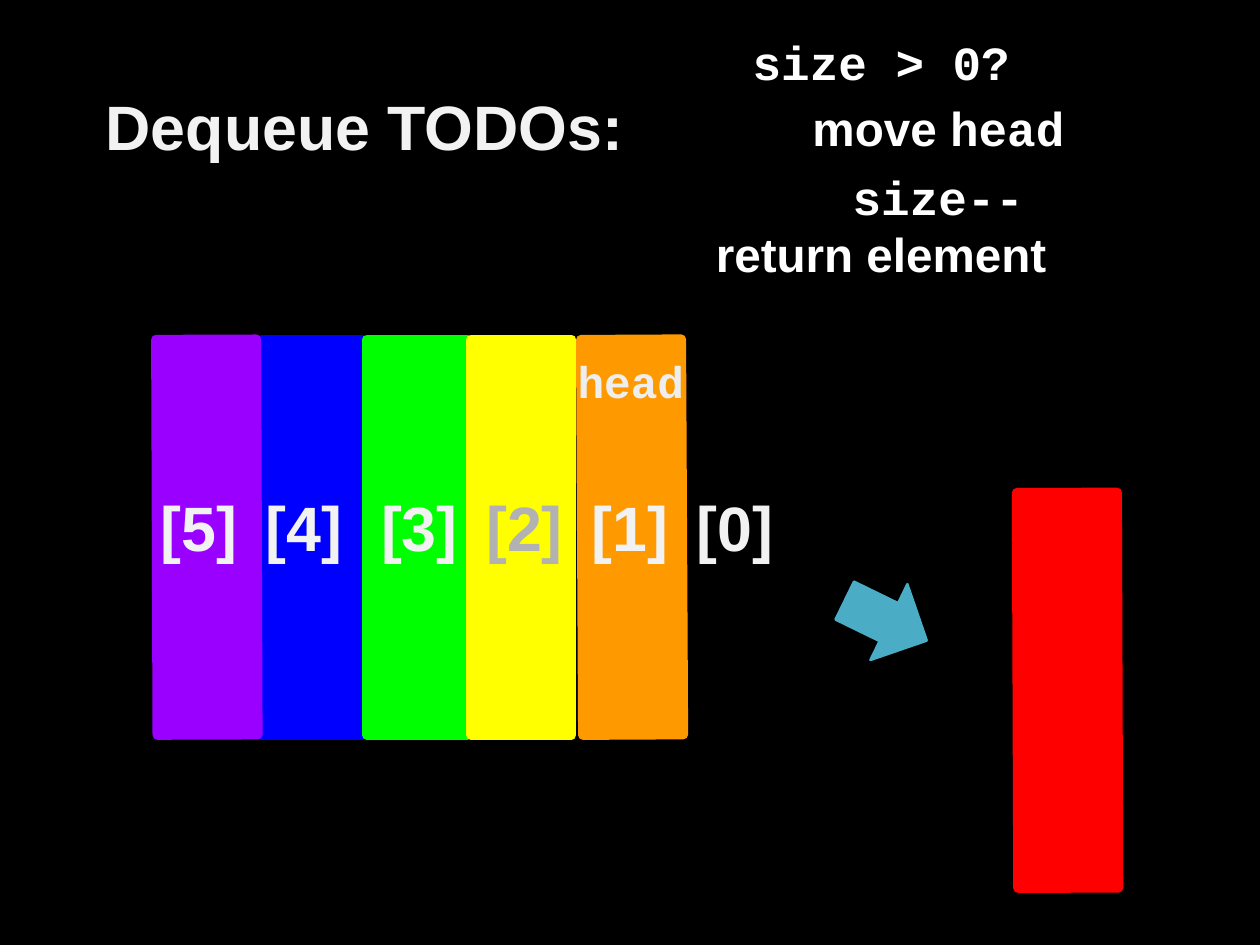
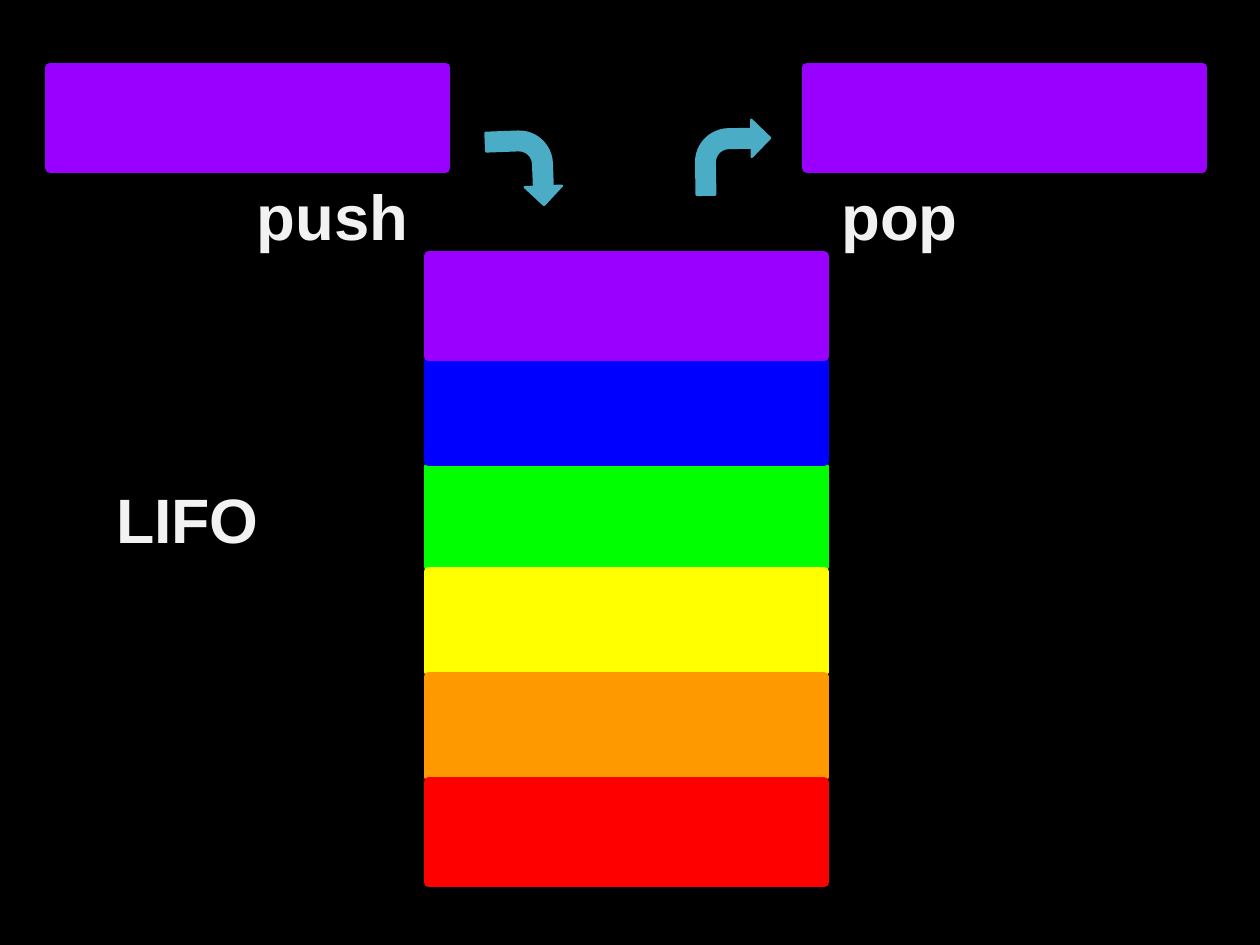
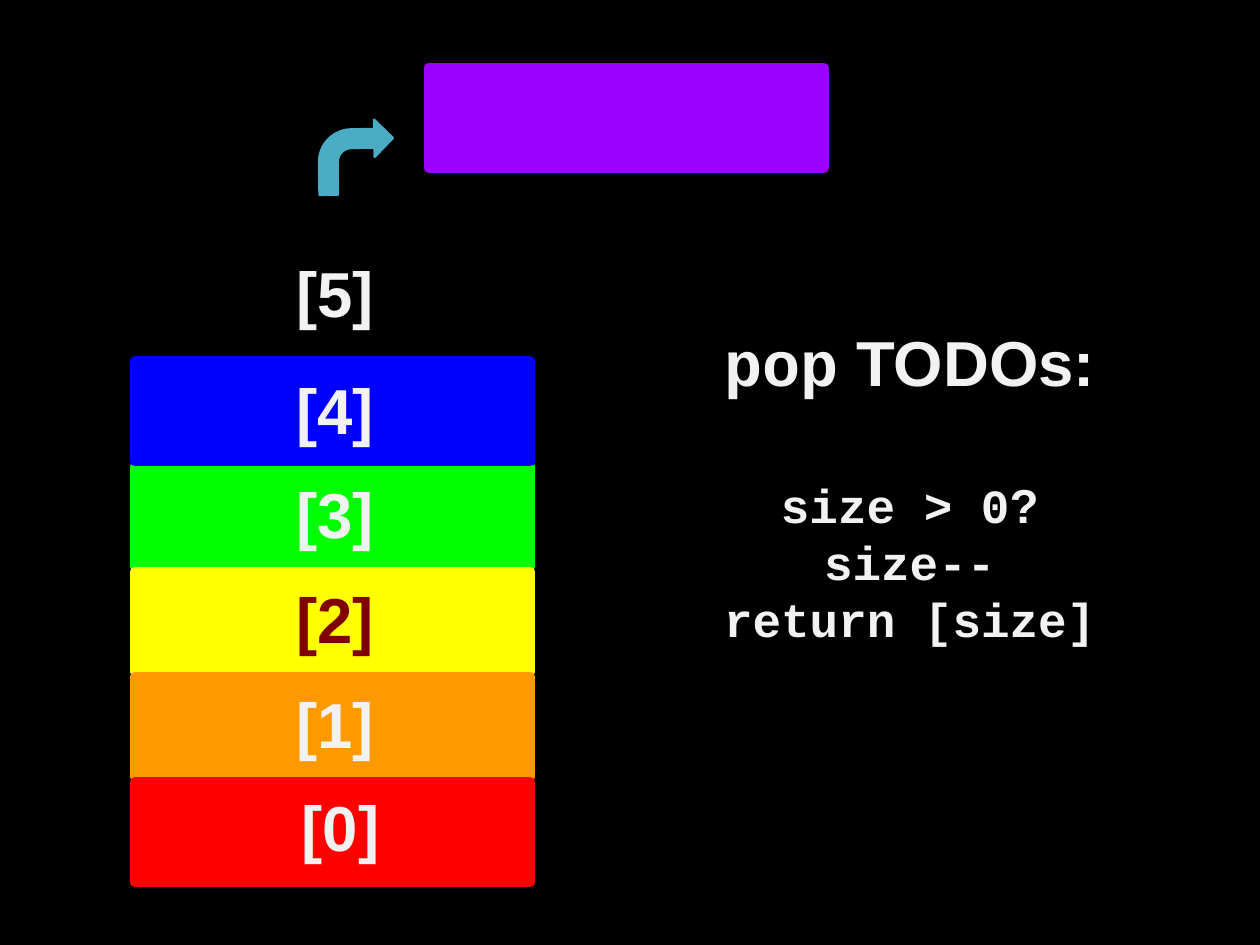
from pptx import Presentation
from pptx.dml.color import RGBColor
from pptx.enum.shapes import MSO_SHAPE
from pptx.enum.text import MSO_ANCHOR, PP_ALIGN
from pptx.util import Inches, Pt

RECTANGLE = MSO_SHAPE.RECTANGLE
RIGHT_ARROW = MSO_SHAPE.RIGHT_ARROW
BENT_ARROW = MSO_SHAPE.BENT_ARROW
TOP, MIDDLE = MSO_ANCHOR.TOP, MSO_ANCHOR.MIDDLE
CENTER = PP_ALIGN.CENTER

COLORS = {
    "background": "000000", "text": "F2F2F2", "white": "FFFFFF",
    "head": "EEEEEE", "gray": "B2B2B2", "maroon": "800000",
    "arrow": "4BACC6", "purple": "9900FF", "blue": "0000FF",
    "green": "00FF00", "yellow": "FFFF00", "orange": "FF9900", "red": "FF0000",
}
SANS, MONO = "Arial", "Courier New"
CM_PER_INCH = 2.54
BAR_LENGTH, BAR_THICKNESS = 3.46, 0.88
BAR_STEP = 0.92
STACK_TOP = 2.24
CARRIED_TOP = 0.59
STACK = ["purple", "blue", "green", "yellow", "orange", "red"]
STACK_DRAWING_ORDER = ["green", "blue", "purple", "yellow", "orange", "red"]
ARROW_SIZE = 0.65


def add_figure(slide, kind, box, color, line_width=6, rotation=0):
    """Add a solid preset shape; box is left, top, width, height in inches."""
    shape = slide.shapes.add_shape(kind, *[Inches(length) for length in box])
    shape.shadow.inherit = False
    shape.rotation = rotation
    shape.fill.solid()
    shape.fill.fore_color.rgb = RGBColor.from_string(COLORS[color])
    shape.line.color.rgb = RGBColor.from_string(COLORS[color])
    shape.line.width = Pt(line_width)
    if kind == BENT_ARROW:
        shape.adjustments[3] = 0.44


def add_text(slide, center_x, y, lines, color="text", width=5.5, anchor=MIDDLE):
    """Add centred lines of (runs, size, space before, indent); y is the anchored edge."""
    height = 0.7 if anchor == MIDDLE else 2.8
    top = y - height / 2 if anchor == MIDDLE else y
    box = slide.shapes.add_textbox(
        Inches(center_x - width / 2), Inches(top), Inches(width), Inches(height))
    frame = box.text_frame
    frame.word_wrap = True
    frame.vertical_anchor = anchor
    frame.margin_left = frame.margin_right = frame.margin_top = frame.margin_bottom = 0
    for index, (runs, size, space_before, indent) in enumerate(lines):
        paragraph = frame.add_paragraph() if index else frame.paragraphs[0]
        paragraph.alignment = CENTER
        if space_before:
            paragraph.space_before = Pt(space_before)
        if indent:
            paragraph._p.get_or_add_pPr().set("marL", str(Inches(indent)))
        for text, font_name in runs:
            run = paragraph.add_run()
            run.text = text
            run.font.name = font_name
            run.font.size = Pt(size)
            run.font.bold = True
            run.font.color.rgb = RGBColor.from_string(COLORS[color])


presentation = Presentation()
presentation.slide_width = Inches(28 / CM_PER_INCH)
presentation.slide_height = Inches(21 / CM_PER_INCH)
background = presentation.slide_master.background.fill
background.solid()
background.fore_color.rgb = RGBColor.from_string(COLORS["background"])
blank_layout = presentation.slide_layouts[6]

# Dequeue: upright bars, the red one has left the queue
slide = presentation.slides.add_slide(blank_layout)
add_text(slide, 3.19, 1.1, [([("Dequeue TODOs:", SANS)], 39.5, 0, 0)])
queue_bars = [
    ("blue", 2.73, 4.7, 0), ("green", 3.65, 4.7, 0), ("purple", 1.81, 4.7, -0.2),
    ("orange", 5.53, 4.7, -0.3), ("yellow", 4.56, 4.7, 0), ("red", 9.34, 6.04, -0.2),
]
for color, center_x, center_y, rotation in queue_bars:
    box = (center_x - BAR_THICKNESS / 2, center_y - BAR_LENGTH / 2, BAR_THICKNESS, BAR_LENGTH)
    add_figure(slide, RECTANGLE, box, color, rotation=rotation)
add_figure(slide, RIGHT_ARROW, (7.35, 5.06, 0.8, 0.74), "arrow", 1.5, 26)
for index, center_x in enumerate([6.43, 5.51, 4.59, 3.67, 2.66, 1.74]):
    add_text(slide, center_x, 4.61, [([(f"[{index}]", SANS)], 39.5, 0, 0)],
             "gray" if index == 2 else "text", 1.5)
add_text(slide, 5.52, 3.33, [([("head", MONO)], 28, 0, 0)], "head", 1.86)
add_text(slide, 7.71, 0.29, [
    ([("size > 0?", MONO)], 30, 0, 0),
    ([("move ", SANS), ("head", MONO)], 30, 5.5, 1),
    ([("size--", MONO)], 30, 7.5, 1),
    ([("return element", SANS)], 30, 0, 0),
], "white", 6.55, TOP)

# Stack with push and pop
slide = presentation.slides.add_slide(blank_layout)
add_text(slide, 1.64, 4.54, [([("LIFO", SANS)], 39.5, 0, 0)], width=3)
for color in STACK_DRAWING_ORDER:
    top = STACK_TOP + BAR_STEP * STACK.index(color)
    add_figure(slide, RECTANGLE, (3.75, top, BAR_LENGTH, BAR_THICKNESS), color)
for left in (0.44, 7.06):
    add_figure(slide, RECTANGLE, (left, CARRIED_TOP, BAR_LENGTH, BAR_THICKNESS), "purple")
for left, top, rotation in ((4.26, 1.15, 87.8), (6.09, 1.05, 359.1)):
    add_figure(slide, BENT_ARROW, (left, top, ARROW_SIZE, ARROW_SIZE), "arrow", 1.5, rotation)
for operation, center_x in (("push", 2.91), ("pop", 7.87)):
    add_text(slide, center_x, 1.88, [([(operation, SANS)], 40, 0, 0)], width=3)

# Pop: the purple bar has left the stack
slide = presentation.slides.add_slide(blank_layout)
for color in STACK_DRAWING_ORDER:
    if color != "purple":
        top = STACK_TOP + BAR_STEP * STACK.index(color)
        add_figure(slide, RECTANGLE, (1.18, top, BAR_LENGTH, BAR_THICKNESS), color)
add_text(slide, 7.96, 2.83, [
    ([("pop", MONO), (" TODOs:", SANS)], 40, 0, 0),
    ([("size > 0", MONO), ("?", SANS)], 30, 48, 0),
    ([("size--", MONO)], 30, 0, 0),
    ([("return [size]", MONO)], 30, 0, 0),
], anchor=TOP)
label_places = [(2.98, 7.23), (2.93, 6.33), (2.93, 5.41), (2.93, 4.49), (2.93, 3.58), (2.93, 2.56)]
for index, (center_x, center_y) in enumerate(label_places):
    add_text(slide, center_x, center_y, [([(f"[{index}]", SANS)], 40, 0, 0)],
             "maroon" if index == 2 else "text", 1.5)
add_figure(slide, BENT_ARROW, (2.79, 1.05, ARROW_SIZE, ARROW_SIZE), "arrow", 1.5, 359.1)
add_figure(slide, RECTANGLE, (3.75, CARRIED_TOP, BAR_LENGTH, BAR_THICKNESS), "purple")

presentation.save("out.pptx")
